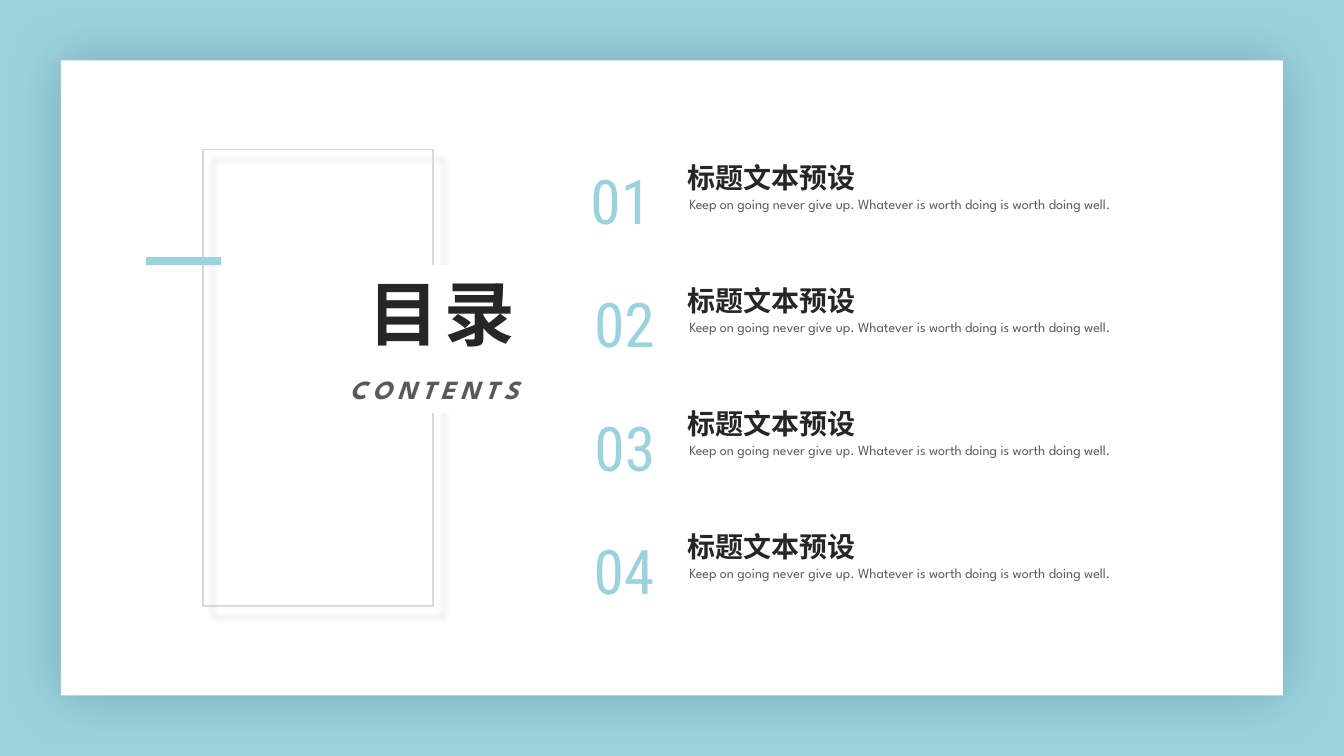
import pptx
import pptx.util
import pptx.dml.color
import pptx.enum.shapes
import pptx.enum.text
import pptx.oxml
import pptx.oxml.ns

Pt = pptx.util.Pt
ALIGN = pptx.enum.text.PP_ALIGN
ANCHOR = pptx.enum.text.MSO_ANCHOR

COLORS = {
    "accent": "9AD3DE",
    "white": "FFFFFF",
    "frame": "D9D9D9",
    "title": "262626",
    "body": "595959",
    "shadow": "000000",
}
CHINESE = "Noto Sans CJK SC"
LATIN = "League Spartan"
NUMERAL = "Roboto Condensed"

HEADING = "标题文本预设"
DESCRIPTION = "Keep on going never give up. Whatever is worth doing is worth doing well."
NUMBER_WIDTHS = [51.8, 56.9, 57.6, 56.2]
ITEM_TOP = 110.1
ITEM_PITCH = 87.9
TEXT_INSETS = (37.4, 0, 0, 0)
NUMBER_INSETS = (0, 3.6, 0, 3.6)
DEFAULT_INSETS = (7.2, 3.6, 7.2, 3.6)


def rgb(name):
    return pptx.dml.color.RGBColor.from_string(COLORS[name])


def add_rectangle(shapes, box, fill=None, line=None):
    shape = shapes.add_shape(
        pptx.enum.shapes.MSO_SHAPE.RECTANGLE, *(Pt(length) for length in box))
    shape.shadow.inherit = False
    if fill:
        shape.fill.solid()
        shape.fill.fore_color.rgb = rgb(fill)
    else:
        shape.fill.background()
    if line:
        shape.line.color.rgb = rgb(line)
        shape.line.width = Pt(1)
    else:
        shape.line.fill.background()
    return shape


def add_shadow(shape, blur, distance, angle):
    """Fill the shape's empty effect list with a soft outer shadow."""
    effects = shape._element.spPr.find(pptx.oxml.ns.qn("a:effectLst"))
    effects.append(pptx.oxml.parse_xml(
        f'<a:outerShdw {pptx.oxml.ns.nsdecls("a")} blurRad="{Pt(blur)}" '
        f'dist="{Pt(distance)}" dir="{angle * 60000}" algn="ctr" rotWithShape="0">'
        f'<a:srgbClr val="{COLORS["shadow"]}"><a:alpha val="20000"/></a:srgbClr>'
        '</a:outerShdw>'))


def set_text(shape, text, font, size, color, align=ALIGN.LEFT, anchor=ANCHOR.TOP,
             wrap=True, insets=DEFAULT_INSETS, line_spacing=None,
             bold=False, italic=False, tracking=0):
    frame = shape.text_frame
    frame.text = text
    frame.word_wrap = wrap
    frame.vertical_anchor = anchor
    (frame.margin_left, frame.margin_top,
     frame.margin_right, frame.margin_bottom) = (Pt(inset) for inset in insets)
    paragraph = frame.paragraphs[0]
    paragraph.alignment = align
    if line_spacing:
        paragraph.line_spacing = line_spacing
    run = paragraph.runs[0]
    run.font.name = font
    run.font.size = Pt(size)
    run.font.bold = bold
    run.font.italic = italic
    run.font.color.rgb = rgb(color)
    # East Asian typeface and letter spacing
    properties = run._r.get_or_add_rPr()
    properties.find(pptx.oxml.ns.qn("a:latin")).addnext(pptx.oxml.parse_xml(
        f'<a:ea {pptx.oxml.ns.nsdecls("a")} typeface="{font}"/>'))
    if tracking:
        properties.set("spc", str(tracking * 100))


def add_text(shapes, box, *args, **options):
    textbox = shapes.add_textbox(*(Pt(length) for length in box))
    set_text(textbox, *args, **options)


def add_item(slide, index, number_width):
    shapes = slide.shapes.add_group_shape().shapes
    top = ITEM_TOP + index * ITEM_PITCH
    add_text(shapes, (417.6, top, number_width, 55.4), f"{index + 1:02}",
             NUMERAL, 44, "accent", align=ALIGN.CENTER, anchor=ANCHOR.MIDDLE,
             wrap=False, insets=NUMBER_INSETS, line_spacing=1.2)
    add_text(shapes, (453.6, top + 9.2, 311.8, 19.4), HEADING,
             CHINESE, 20, "title", anchor=ANCHOR.BOTTOM, wrap=False,
             insets=TEXT_INSETS, bold=True)
    add_text(shapes, (455, top + 21.6, 423.4, 25.2), DESCRIPTION,
             LATIN, 10, "body", anchor=ANCHOR.MIDDLE, insets=TEXT_INSETS,
             line_spacing=1.2)


def main():
    presentation = pptx.Presentation()
    presentation.slide_width = Pt(960)
    presentation.slide_height = Pt(540)
    slide = presentation.slides.add_slide(presentation.slide_layouts[6])
    shapes = slide.shapes

    # Background and white card
    slide.background.fill.solid()
    slide.background.fill.fore_color.rgb = rgb("accent")
    card = add_rectangle(shapes, (43.6, 43.2, 872.8, 453.6), fill="white")
    add_shadow(card, 40, 0, 0)

    # Outlined frame, interrupted by the title
    frame = add_rectangle(shapes, (144.9, 106.8, 164.4, 326), line="frame")
    add_shadow(frame, 4, 10, 45)
    title = add_rectangle(shapes, (245.5, 189.4, 129.6, 82.1), fill="white")
    set_text(title, "目录", CHINESE, 50.4, "title", align=ALIGN.RIGHT,
             bold=True, tracking=4)
    subtitle = add_rectangle(shapes, (243.4, 263, 133.9, 31.9), fill="white")
    set_text(subtitle, "CONTENTS", LATIN, 18.7, "body", align=ALIGN.RIGHT,
             wrap=False, bold=True, italic=True, tracking=4)

    # Numbered entries
    for index, number_width in enumerate(NUMBER_WIDTHS):
        add_item(slide, index, number_width)

    # Accent bar across the frame
    add_rectangle(shapes, (104.3, 183.6, 53.8, 5.8), fill="accent")

    presentation.save("out.pptx")


if __name__ == "__main__":
    main()
